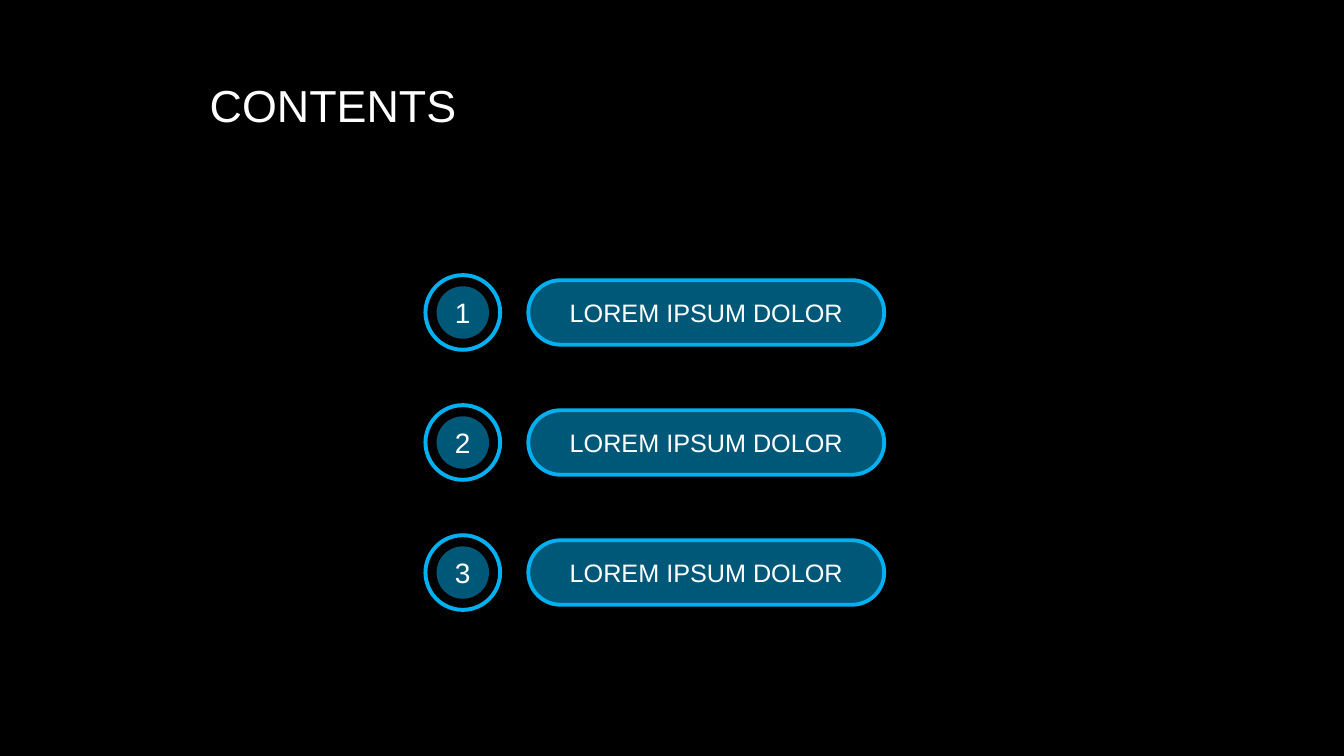
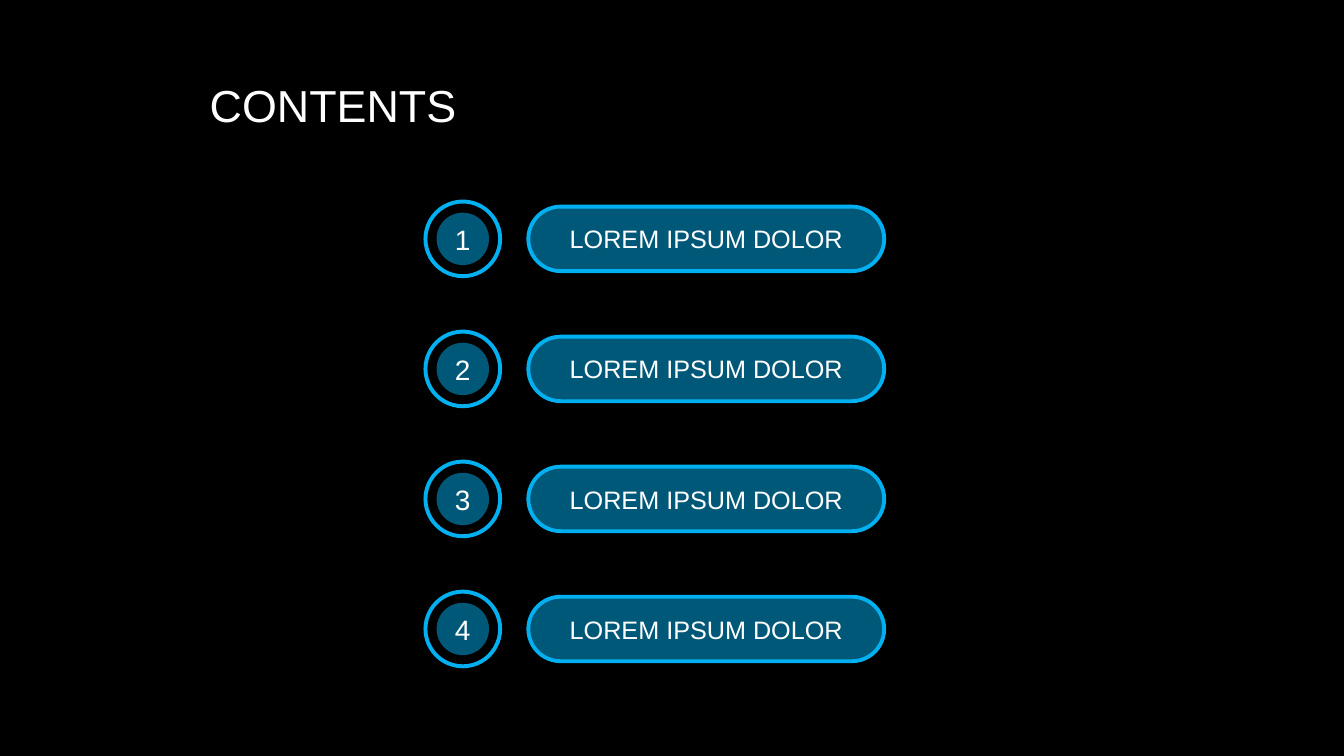
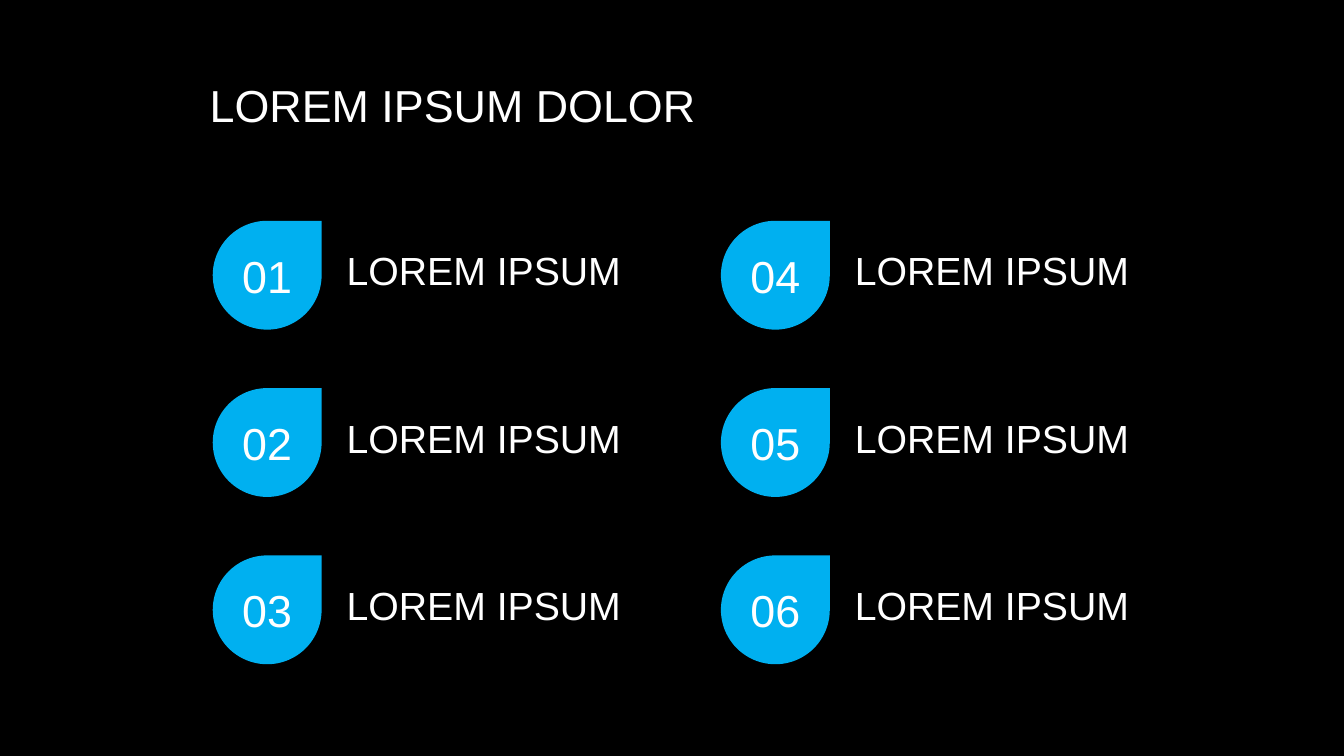
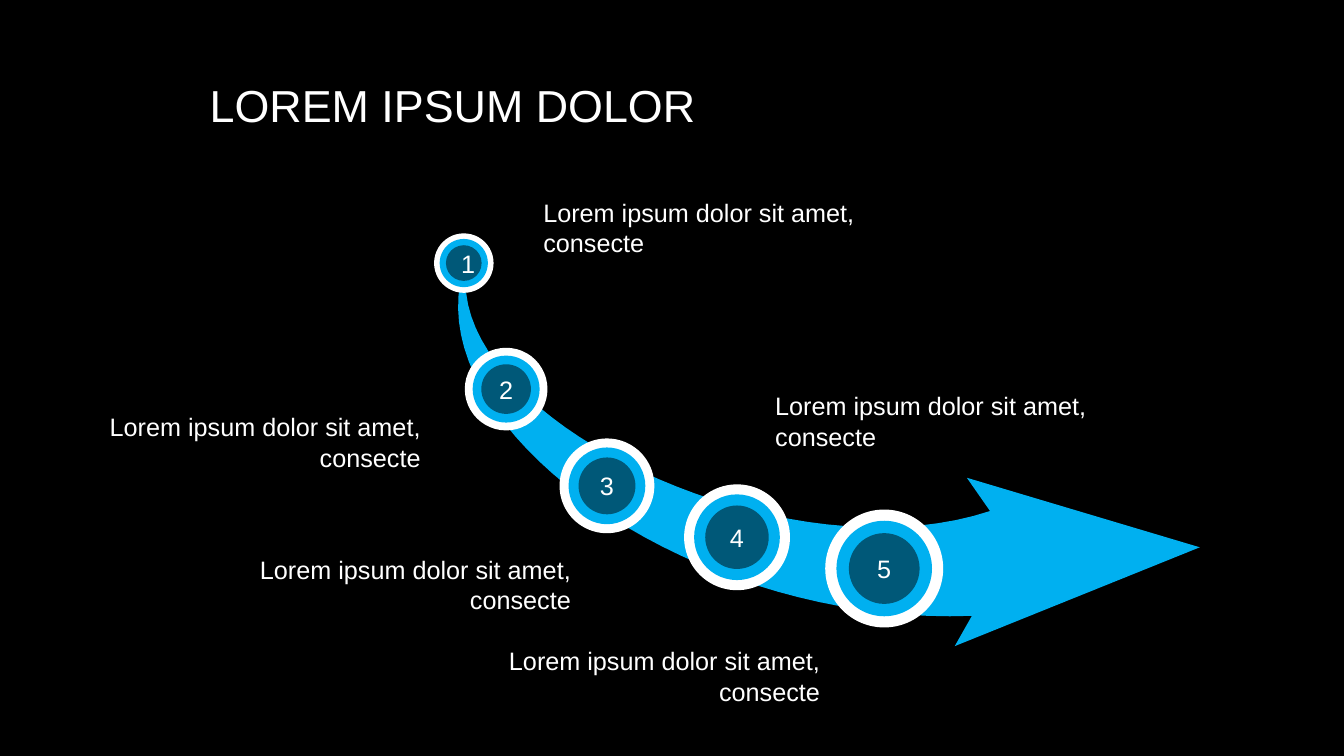
"""Build four dark slides: two contents lists, a numbered grid and a curved arrow timeline."""
import pptx
import pptx.dml.color
import pptx.enum.shapes
import pptx.enum.text
import pptx.util

Inches = pptx.util.Inches
SHAPE = pptx.enum.shapes.MSO_SHAPE
ALIGN = pptx.enum.text.PP_ALIGN

BLACK, WHITE, SKY, TEAL = "000000", "FFFFFF", "00B0F0", "005878"


def paint(part, fill, line=None, weight=2.75):
    part.shadow.inherit = False
    part.fill.solid()
    part.fill.fore_color.rgb = pptx.dml.color.RGBColor.from_string(fill)
    if line:
        part.line.color.rgb = pptx.dml.color.RGBColor.from_string(line)
        part.line.width = pptx.util.Pt(weight)
    else:
        part.line.fill.background()


def write(box, text, size=18, align=ALIGN.CENTER, spacing=None, color=WHITE):
    frame = box.text_frame
    frame.word_wrap = True
    frame.vertical_anchor = pptx.enum.text.MSO_ANCHOR.MIDDLE
    para = frame.paragraphs[0]
    para.alignment = align
    para.line_spacing = spacing
    span = para.add_run()
    span.text = text
    span.font.name = "Arial"
    span.font.size = pptx.util.Pt(size)
    span.font.color.rgb = pptx.dml.color.RGBColor.from_string(color)


deck = pptx.Presentation()
deck.slide_width, deck.slide_height = Inches(13.33), Inches(7.5)
backdrop = deck.slide_master.background.fill
backdrop.solid()
backdrop.fore_color.rgb = pptx.dml.color.RGBColor.from_string(BLACK)

pages = []
for heading in ("CONTENTS", "CONTENTS", "LOREM IPSUM DOLOR", "LOREM IPSUM DOLOR"):
    page = deck.slides.add_slide(deck.slide_layouts[5])
    title = page.shapes.title
    title.left, title.top = Inches(1.98), Inches(0.35)
    title.width, title.height = Inches(5.69), Inches(1.45)
    write(title, heading, size=32, align=ALIGN.LEFT, spacing=0.9)
    pages.append(page)
short_list, long_list, grid, timeline = pages

for page, first_middle, count in ((short_list, 3.1, 3), (long_list, 2.37, 4)):
    for index in range(count):
        middle = first_middle + 1.29 * index
        ring = page.shapes.add_shape(
            SHAPE.DONUT, Inches(4.2), Inches(middle - 0.39), Inches(0.78), Inches(0.78))
        ring.adjustments[0] = 0.05
        paint(ring, SKY)
        disc = page.shapes.add_shape(
            SHAPE.OVAL, Inches(4.33), Inches(middle - 0.26), Inches(0.52), Inches(0.52))
        paint(disc, TEAL)
        write(disc, str(index + 1), size=20)
        pill = page.shapes.add_shape(
            SHAPE.ROUNDED_RECTANGLE, Inches(5.24), Inches(middle - 0.32), Inches(3.53), Inches(0.64))
        pill.adjustments[0] = 0.5
        paint(pill, TEAL, line=SKY)
        write(pill, "LOREM IPSUM DOLOR")

for index in range(6):
    column, row = divmod(index, 3)
    left, top = 2.11 + 5.04 * column, 2.19 + 1.66 * row
    drop = grid.shapes.add_shape(
        SHAPE.TEAR, Inches(left), Inches(top), Inches(1.08), Inches(1.08))
    paint(drop, SKY)
    write(drop, f"{index + 1:02}", size=32)
    label = grid.shapes.add_textbox(
        Inches(left + 1.23), Inches(top + 0.02), Inches(3.11), Inches(0.94))
    write(label, "LOREM IPSUM", size=28, align=ALIGN.LEFT)

upper_edge = ((4.69, 2.44), (4.07, 3.97), (7.64, 5.79), (9.82, 5.07))
arrow_head = [(9.59, 4.74), (11.9, 5.43), (9.47, 6.41)]
lower_edge = ((9.64, 6.11), (6.71, 6.22), (3.86, 4.05), (4.69, 2.44))
curves = []
for edge in (upper_edge, lower_edge):
    points = []
    for step in range(41):
        t = step / 40
        weights = ((1 - t) ** 3, 3 * t * (1 - t) ** 2, 3 * t ** 2 * (1 - t), t ** 3)
        points.append(tuple(
            sum(weight * point[axis] for weight, point in zip(weights, edge)) for axis in (0, 1)))
    curves.append(points)
outline = [(Inches(x), Inches(y)) for x, y in curves[0] + arrow_head + curves[1]]
builder = timeline.shapes.build_freeform(*outline[0])
builder.add_line_segments(outline[1:], close=True)
paint(builder.convert_to_shape(), SKY)

stops = (
    (4.6, 2.61, 0.59, 5.29, 1.77, ALIGN.LEFT),
    (5.02, 3.86, 0.82, 0.98, 3.9, ALIGN.RIGHT),
    (6.02, 4.82, 0.94, 2.47, 5.31, ALIGN.RIGHT),
    (7.31, 5.33, 1.05, 7.59, 3.69, ALIGN.LEFT),
    (8.77, 5.64, 1.17, 4.94, 6.22, ALIGN.RIGHT),
)
for number, (center, middle, diameter, left, top, align) in enumerate(stops, 1):
    for scale, color in ((1, WHITE), (0.81, SKY), (0.6, TEAL)):
        size = diameter * scale
        disc = timeline.shapes.add_shape(
            SHAPE.OVAL, Inches(center - size / 2), Inches(middle - size / 2), Inches(size), Inches(size))
        paint(disc, color)
    write(disc, str(number))
    note = timeline.shapes.add_textbox(Inches(left), Inches(top), Inches(3.29), Inches(0.97))
    write(note, "Lorem ipsum dolor sit amet, consecte", align=align)

deck.save("out.pptx")
